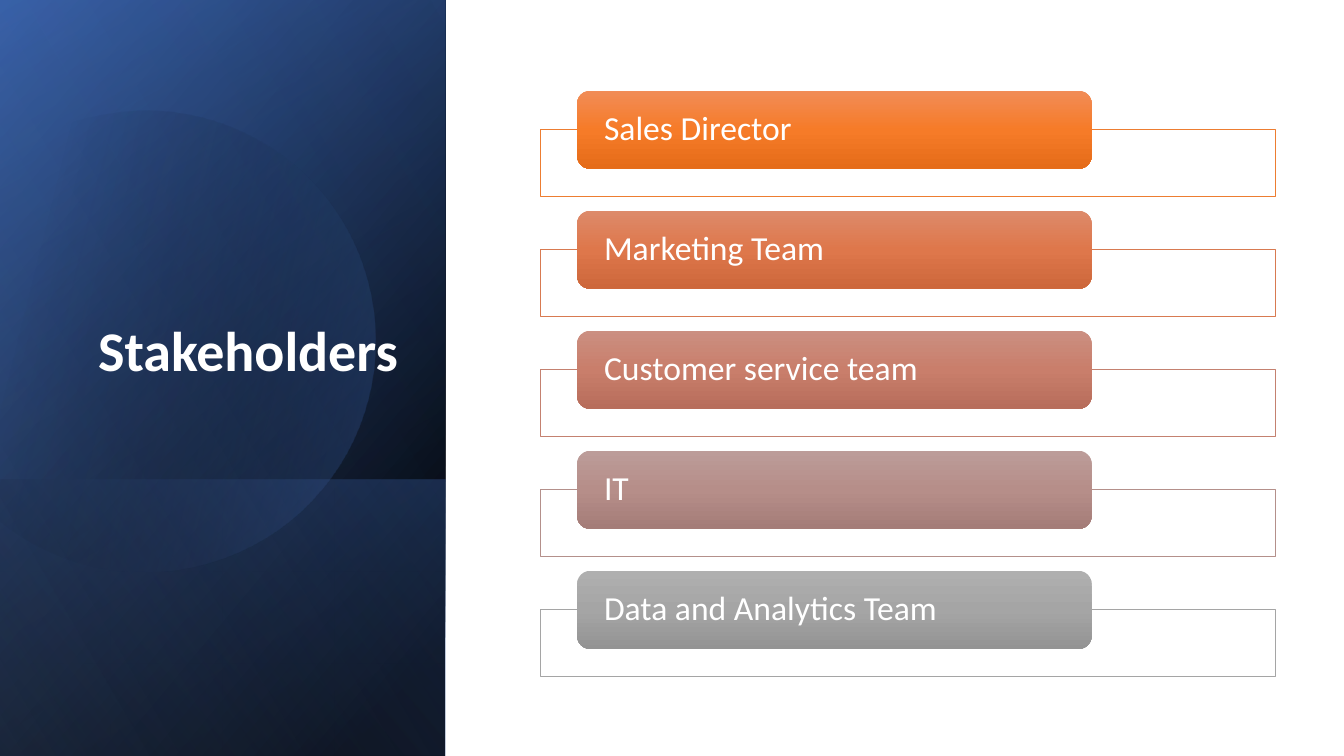
"""Build the Stakeholders slide with a blue side panel and five labelled rows."""
import math

from lxml import etree
from pptx import Presentation
from pptx import util as u
from pptx.dml.color import RGBColor
from pptx.enum import shapes, text
from pptx.oxml.ns import qn

BLACK = RGBColor(0x00, 0x00, 0x00)
WHITE = RGBColor(0xFF, 0xFF, 0xFF)
NAVY = RGBColor(0x2F, 0x55, 0x97)
BLUE = RGBColor(0x44, 0x72, 0xC4)
PALE_BLUE = RGBColor(0x8F, 0xAA, 0xDC)

PANEL_WIDTH, SLIDE_WIDTH, SLIDE_HEIGHT = 318, 960, 540
ROW_PITCH = 85.75

PANELS = [
    (0, 540, 50, [(8, BLACK, 100), (100, NAVY, 100)]),
    (0, 540, 30, [(0, BLACK, 0), (99, BLUE, 46)]),
    (342.75, 197.25, 130, [(2, BLUE, 29), (100, BLACK, 30)]),
]
SHEEN = (0, 540, 120, [(0, BLACK, 0), (99, PALE_BLUE, 11)])

DISC_CENTER = (114.1, 240.8)
DISC_TURN = 343.9
DISC_START = (107.3, 79.2)
DISC_CURVES = [
    [(177.1, 80.6), (241.2, 127.4), (261.4, 198)],
    [(286.6, 285.8), (236.2, 376.6), (149, 401.8)],
    [(94.3, 417.6), (38.2, 403.9), (-2.2, 370.1)],
    [(-10.8, 362.2)],
    [(-10.8, 126)],
    [(0, 115.9)],
    [(16.6, 102.2), (36, 91.4), (57.6, 85.7)],
    [(74.2, 81.4), (90.7, 79.2), (107.3, 79.2)],
]

ROWS = [
    ("Sales Director", "ED7D31", ("F18C57", "F67B28", "E56C19")),
    ("Marketing Team", "D87A51", ("DD8A6A", "DE774B", "CD673B")),
    ("Customer service team", "C48170", ("CB8F81", "C97E6B", "B76D5B")),
    ("IT", "B4908B", ("BC9C99", "B68E89", "A47C78")),
    ("Data and Analytics Team", "A5A5A5", ("AFAFAF", "A5A5A5", "939393")),
]


def disc_points(steps=24):
    """Return the disc outline as points turned back to its unrotated frame."""
    points = [DISC_START]
    for curve in DISC_CURVES:
        if len(curve) == 1:
            points += curve
            continue
        start = points[-1]
        for step in range(1, steps + 1):
            t = step / steps
            weights = ((1 - t) ** 3, 3 * t * (1 - t) ** 2, 3 * t * t * (1 - t), t ** 3)
            points.append(tuple(
                sum(weight * point[axis] for weight, point in zip(weights, [start, *curve]))
                for axis in (0, 1)))
    turn = math.radians(-DISC_TURN)
    cx, cy = DISC_CENTER
    return [(cx + (x - cx) * math.cos(turn) - (y - cy) * math.sin(turn),
             cy + (x - cx) * math.sin(turn) + (y - cy) * math.cos(turn))
            for x, y in points]


class SlideBuilder:
    """Hold the style and the current slide, and add each kind of element."""

    font_format = {"name": "Calibri", "color": WHITE}

    def __init__(self, presentation):
        """Add a title-only slide to the presentation."""
        self.slide = presentation.slides.add_slide(presentation.slide_layouts[5])

    def gradient(self, shape, angle, stops):
        """Fill a shape with a clockwise linear gradient of (place, colour, opacity) stops."""
        shape.fill.gradient()
        shape.fill.gradient_angle = 360 - angle
        stop_list = shape._element.spPr.find(qn("a:gradFill")).find(qn("a:gsLst"))
        for stop in list(stop_list):
            stop_list.remove(stop)
        for place, color, opacity in stops:
            stop = etree.SubElement(stop_list, qn("a:gs"), pos=str(place * 1000))
            value = etree.SubElement(stop, qn("a:srgbClr"), val=str(color))
            etree.SubElement(value, qn("a:alpha"), val=str(opacity * 1000))

    def shape(self, kind, left, top, width, height):
        """Add a preset shape without shadow or line."""
        shape = self.slide.shapes.add_shape(
            kind, u.Pt(left), u.Pt(top), u.Pt(width), u.Pt(height))
        shape.shadow.inherit = False
        shape.line.fill.background()
        return shape

    def panel(self, top, height, angle, stops):
        """Add a mirrored, quarter-turned rectangle covering part of the side panel."""
        shape = self.shape(
            shapes.MSO_SHAPE.RECTANGLE, (PANEL_WIDTH - height) / 2,
            top + (height - PANEL_WIDTH) / 2, height, PANEL_WIDTH)
        shape.rotation = 90
        shape._element.spPr.find(qn("a:xfrm")).set("flipH", "1")
        self.gradient(shape, angle, stops)

    def disc(self, points, rotation, angle, stops):
        """Add the clipped disc as a rotated outline."""
        scaled = [(u.Pt(x), u.Pt(y)) for x, y in points]
        builder = self.slide.shapes.build_freeform(*scaled[0])
        builder.add_line_segments(scaled[1:], close=True)
        shape = builder.convert_to_shape()
        shape.shadow.inherit = False
        shape.line.fill.background()
        shape.rotation = rotation
        self.gradient(shape, angle, stops)

    def label(self, shape, content, frame_format, alignment, **font_format):
        """Put one formatted paragraph into a shape."""
        frame = shape.text_frame
        for name, value in frame_format.items():
            setattr(frame, name, value)
        paragraph = frame.paragraphs[0]
        paragraph.alignment = alignment
        paragraph.line_spacing = 0.9
        run = paragraph.add_run()
        run.text = content
        for name, value in {**self.font_format, **font_format}.items():
            if name == "color":
                run.font.color.rgb = value
            else:
                setattr(run.font, name, value)

    def title(self, content, left, top, width, height):
        """Move the title placeholder to the front and fill in its text."""
        title = self.slide.shapes.title
        for name, value in dict(left=left, top=top, width=width, height=height).items():
            setattr(title, name, u.Pt(value))
        self.slide.shapes._spTree.append(title._element)
        frame_format = {
            "vertical_anchor": text.MSO_ANCHOR.BOTTOM, "word_wrap": True,
            "auto_size": text.MSO_AUTO_SIZE.NONE, "margin_bottom": u.Pt(47)}
        self.label(title, content, frame_format, text.PP_ALIGN.RIGHT,
                   size=u.Pt(40), bold=True)

    def row(self, top, name, line_color, colors):
        """Add an outlined bar with a labelled gradient pill over it."""
        bar = self.shape(shapes.MSO_SHAPE.RECTANGLE, 385.75, top + 27.5, 525, 48)
        bar.fill.solid()
        bar.fill.fore_color.rgb = WHITE
        bar.line.color.rgb = RGBColor.from_string(line_color)
        bar.line.width = u.Pt(0.5)
        pill = self.shape(shapes.MSO_SHAPE.ROUNDED_RECTANGLE, 412.25, top, 367.5, 55.75)
        self.gradient(pill, 90, [(place, color, 100) for place, color in zip((0, 50, 100), colors)])
        frame_format = {
            "vertical_anchor": text.MSO_ANCHOR.MIDDLE, "word_wrap": True,
            "margin_left": u.Pt(16.5), "margin_right": u.Pt(16.5),
            "margin_top": 0, "margin_bottom": 0}
        self.label(pill, name, frame_format, text.PP_ALIGN.LEFT, size=u.Pt(24))


def main():
    """Build and save the presentation."""
    presentation = Presentation()
    presentation.slide_width = u.Pt(SLIDE_WIDTH)
    presentation.slide_height = u.Pt(SLIDE_HEIGHT)
    builder = SlideBuilder(presentation)
    for panel in PANELS:
        builder.panel(*panel)
    builder.disc(disc_points(), DISC_TURN, 30, [(29, BLACK, 0), (100, BLUE, 43)])
    builder.panel(*SHEEN)
    builder.title("Stakeholders", 46, 132.5, 245.5, 188.5)
    for index, row in enumerate(ROWS):
        builder.row(64.75 + index * ROW_PITCH, *row)
    presentation.save("out.pptx")


if __name__ == "__main__":
    main()
